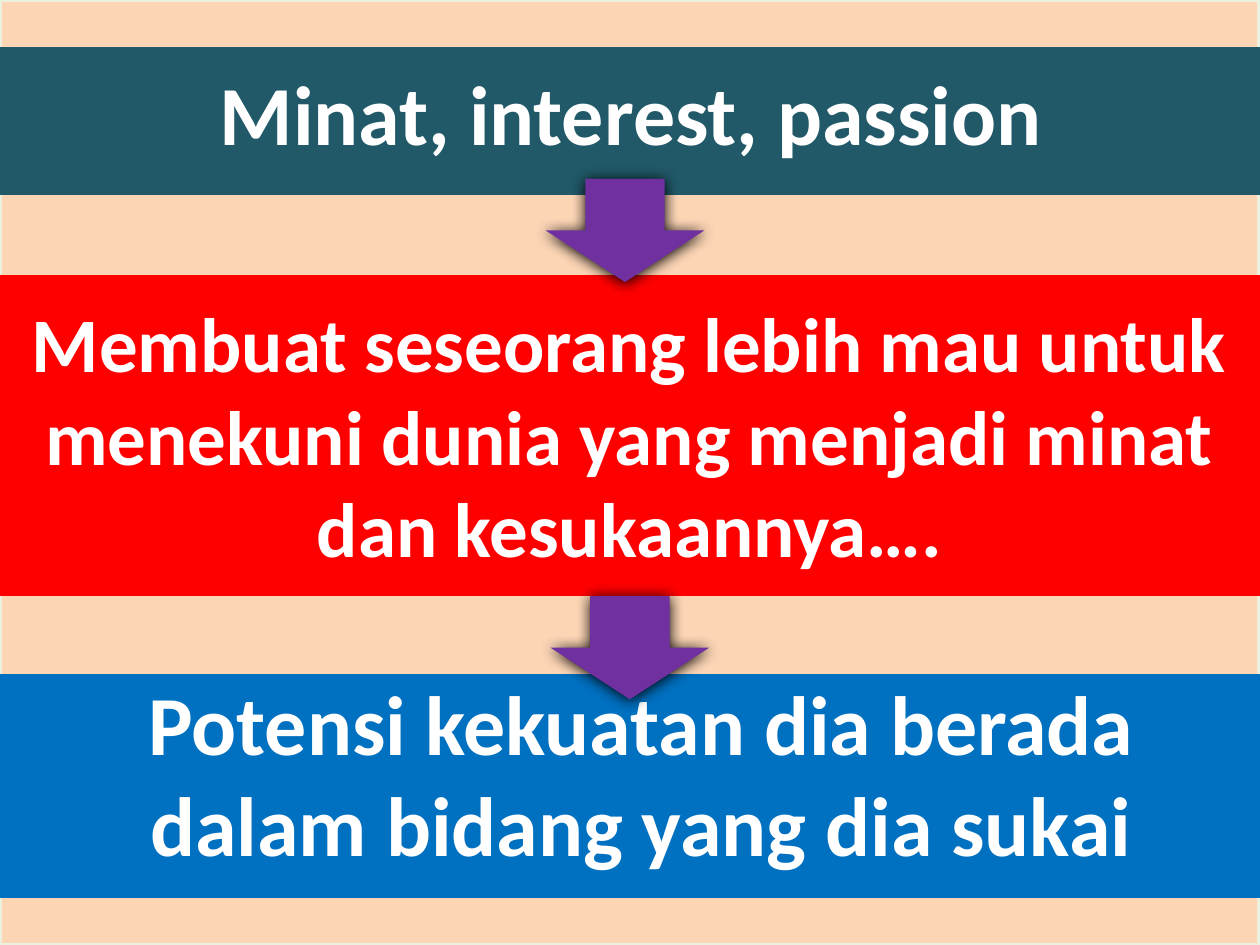
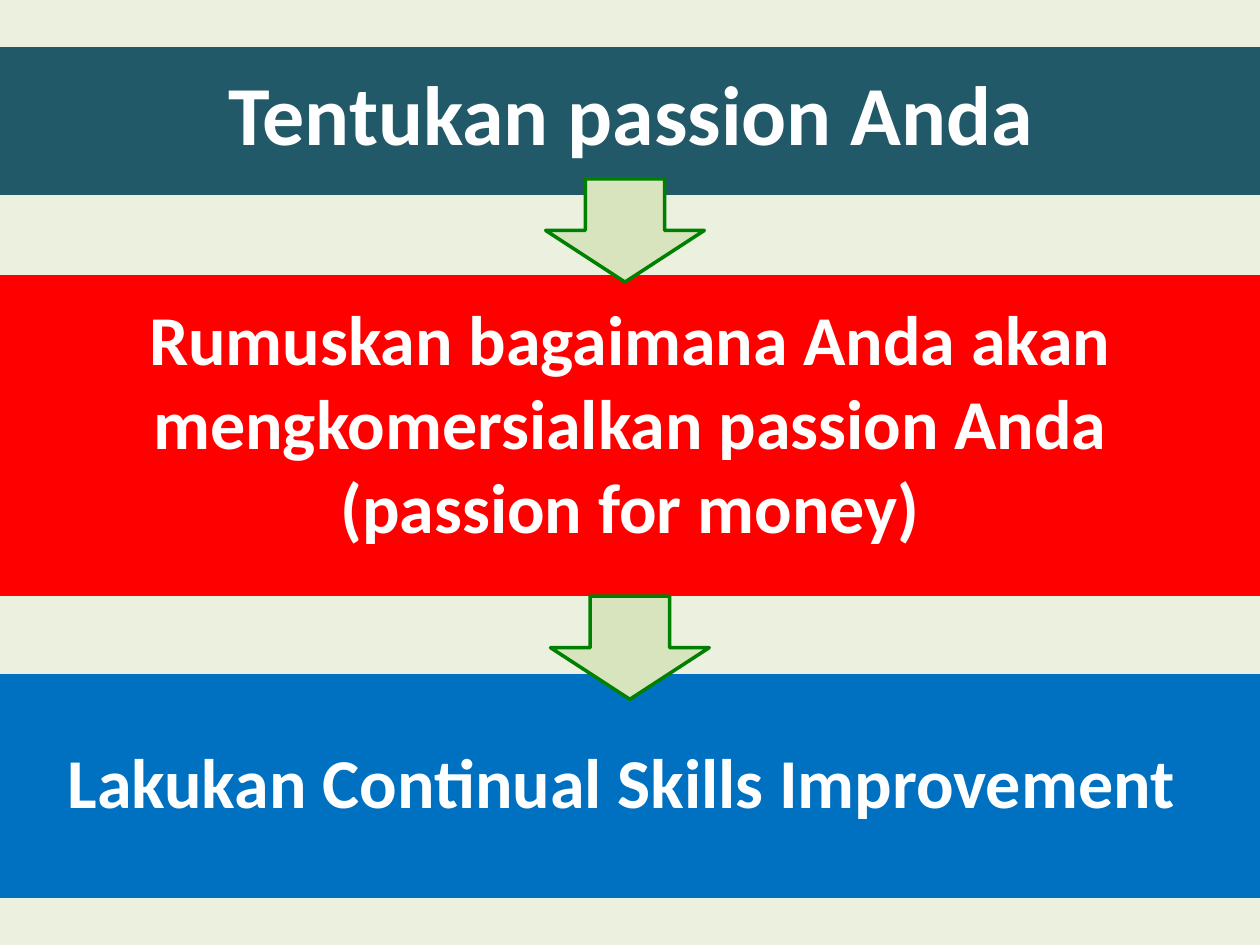
from dataclasses import dataclass

from lxml.etree import SubElement
from pptx import Presentation
from pptx.dml.color import RGBColor
from pptx.enum.shapes import MSO_SHAPE as Shape
from pptx.enum.text import MSO_AUTO_SIZE as AutoSize, PP_ALIGN as Align
from pptx.oxml.ns import qn
from pptx.util import Pt


@dataclass(frozen=True)
class Theme:
    font: str = "Calibri"
    text: str = "FFFFFF"
    teal: str = "215968"
    red: str = "FF0000"
    blue: str = "0070C0"
    peach: str = "FCD5B5"
    pale_green: str = "EBF1DE"
    purple: str = "7030A0"
    leaf: str = "D7E4BD"
    green: str = "008000"
    shadow: str = "000000"
    title_size: int = 48
    large_size: int = 44
    body_size: int = 40
    line_width: int = 2


WIDTH, HEIGHT = 720, 540
ARROW_SIZE = (90.7, 59)
ARROW_PLACES = [(311.8, 102.2), (314.6, 340.6)]


class Deck:
    def __init__(self, theme):
        self.theme = theme
        self.presentation = Presentation()
        self.presentation.slide_width = Pt(WIDTH)
        self.presentation.slide_height = Pt(HEIGHT)
        self.slide = None

    def add_slide(self, background):
        """Start a slide with its backdrop and the three shared bands."""
        theme = self.theme
        layout = self.presentation.slide_layouts[6]
        self.slide = self.presentation.slides.add_slide(layout)
        self.add_filled(Shape.RECTANGLE, (0, 0, 719.3, HEIGHT), background, theme.pale_green)
        for top, height, color in [
            (158.4, 181.4, theme.red),
            (386, 126, theme.blue),
            (28, 82.2, theme.teal),
        ]:
            self.add_filled(Shape.RECTANGLE, (0, top, WIDTH, height), color, color)

    def add_filled(self, kind, box, fill, line=None):
        shape = self.slide.shapes.add_shape(kind, *map(Pt, box))
        shape.shadow.inherit = False
        shape.fill.solid()
        shape.fill.fore_color.rgb = RGBColor.from_string(fill)
        if line:
            shape.line.color.rgb = RGBColor.from_string(line)
            shape.line.width = Pt(self.theme.line_width)
        else:
            shape.line.fill.background()
        return shape

    def add_text(self, box, text, size, align=Align.CENTER):
        frame = self.slide.shapes.add_textbox(*map(Pt, box)).text_frame
        frame.word_wrap = True
        frame.auto_size = AutoSize.SHAPE_TO_FIT_TEXT
        paragraph = frame.paragraphs[0]
        paragraph.alignment = align
        run = paragraph.add_run()
        run.text = text
        run.font.name = self.theme.font
        run.font.size = Pt(size)
        run.font.bold = True
        run.font.color.rgb = RGBColor.from_string(self.theme.text)

    def add_title(self, text):
        self.add_text((0.7, 31.7, WIDTH, 65.5), text, self.theme.title_size)

    def add_arrows(self, fill, line=None, shadow=False):
        for place in ARROW_PLACES:
            arrow = self.add_filled(Shape.DOWN_ARROW, (*place, *ARROW_SIZE), fill, line)
            if shadow:
                self.add_shadow(arrow)

    def add_shadow(self, shape):
        effects = shape._element.spPr.find(qn("a:effectLst"))
        outer = SubElement(
            effects, qn("a:outerShdw"), blurRad=str(Pt(8.5)), dist=str(Pt(1)),
            dir="5400000", algn="ctr", rotWithShape="0",
        )
        SubElement(outer, qn("a:srgbClr"), val=self.theme.shadow)


def add_interest_slide(deck):
    theme = deck.theme
    deck.add_slide(theme.peach)
    deck.add_title("Minat, interest, passion")
    deck.add_text(
        (7.2, 165.6, 705.6, 167),
        "Membuat seseorang lebih mau untuk menekuni dunia yang menjadi minat dan kesukaannya….",
        theme.large_size,
    )
    deck.add_text(
        (20.2, 380.2, 692.6, 123.8),
        "Potensi kekuatan dia berada dalam bidang yang dia sukai",
        theme.title_size,
    )
    deck.add_arrows(theme.purple, shadow=True)


def add_action_slide(deck):
    theme = deck.theme
    deck.add_slide(theme.pale_green)
    deck.add_title("Tentukan passion Anda")
    deck.add_text(
        (7.2, 165.6, 705.6, 152.6),
        "Rumuskan bagaimana Anda akan mengkomersialkan passion Anda (passion for money)",
        theme.body_size,
    )
    deck.add_text(
        (31.6, 418.6, 669.7, 55.7),
        "Lakukan Continual Skills Improvement",
        theme.body_size,
        Align.LEFT,
    )
    deck.add_arrows(theme.leaf, theme.green)


def main():
    deck = Deck(Theme())
    add_interest_slide(deck)
    add_action_slide(deck)
    deck.presentation.save("out.pptx")


if __name__ == "__main__":
    main()
